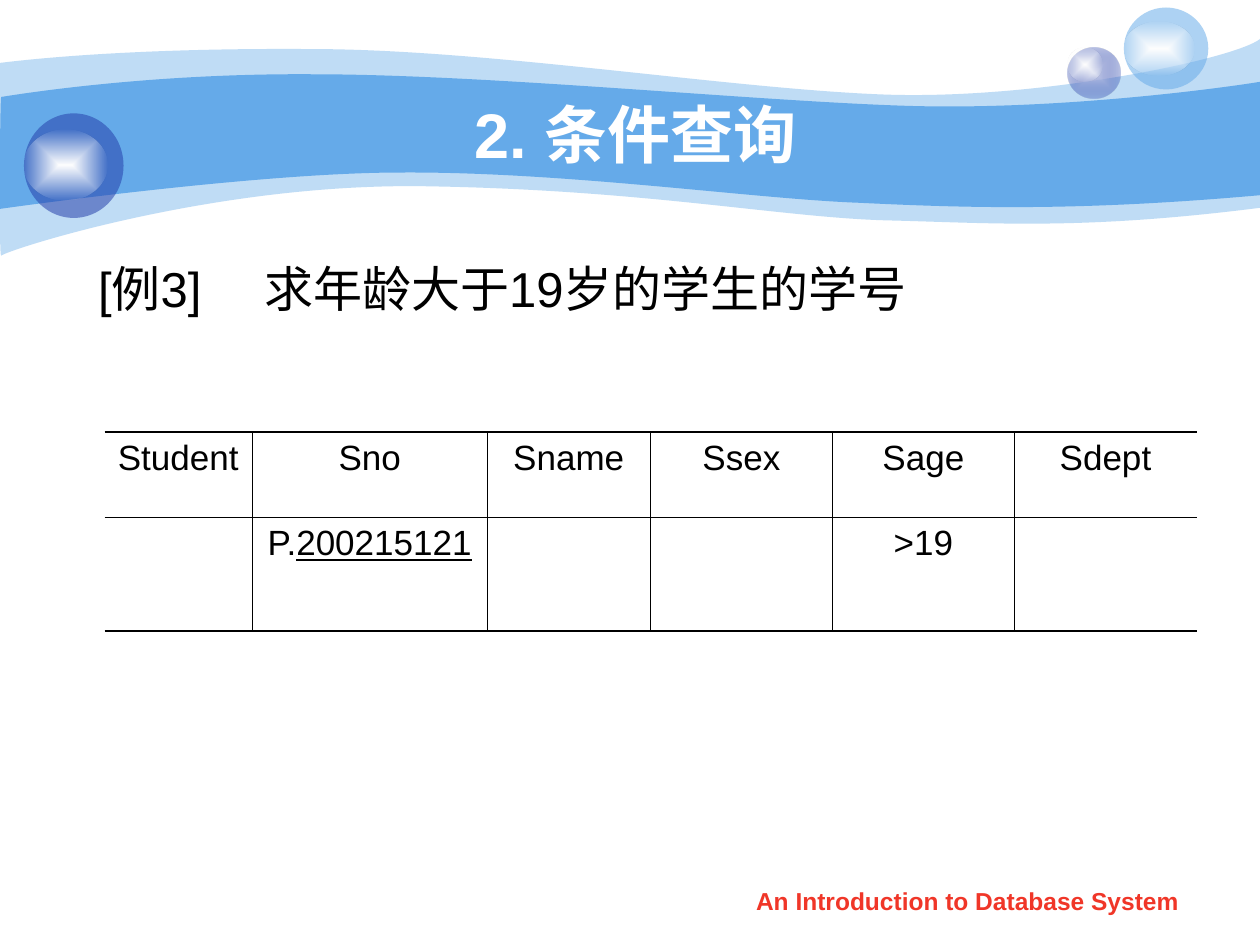
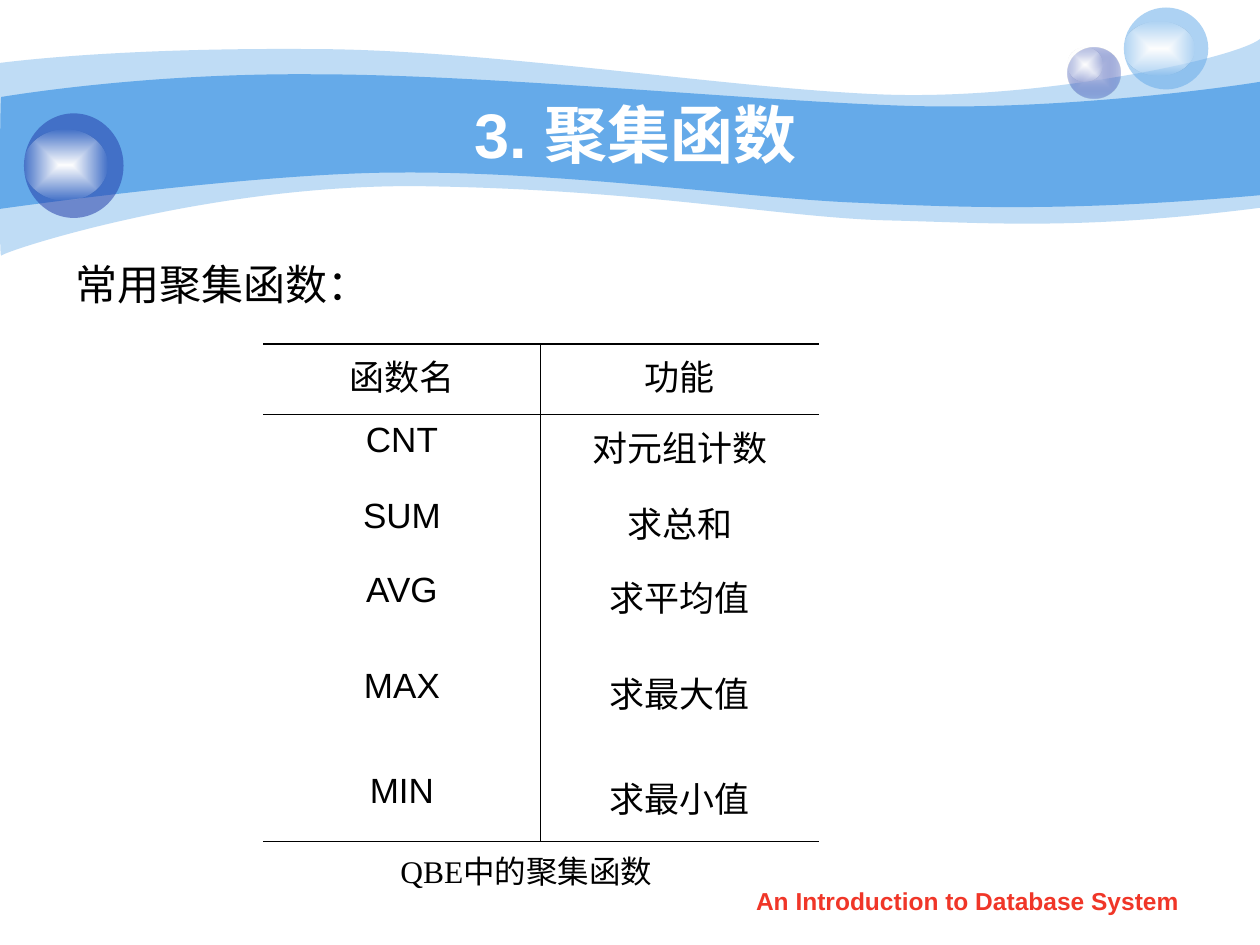
from lxml import etree
from pptx import Presentation
from pptx import util as u
from pptx.dml.color import RGBColor
from pptx.enum import shapes, text
from pptx.oxml import ns, parse_xml

PX = 9144  # EMU in one px, 100 px to the inch
COLORS = {
    "sky": "65AAE9", "navy": "233DA9", "lilac": "C7CEE9",
    "white": "FFFFFF", "black": "000000", "footer": "F03628",
}
FOOTER = "An Introduction to Database System"
CENTER = text.PP_ALIGN.CENTER
HEAVY, THIN = 1.08, 0.45  # table rules in points

# Band outlines: a start, then lines (one point) and Bezier curves (three)
PALE_BAND = [
    [(0, 50)],
    [(24, 47), (107, 38), (247, 39)], [(386, 39), (575, 70), (699, 75)],
    [(822, 80), (980, 47), (1000, 31)], [(1000, 165)],
    [(858, 183), (787, 177), (705, 175)], [(622, 173), (515, 151), (343, 148)],
    [(172, 144), (4, 199), (1, 203)], [(-1, 208), (0, 75), (0, 50)],
]
MAIN_BAND = [
    [(1, 77)],
    [(2, 77), (110, 58), (248, 59)], [(386, 59), (595, 80), (718, 84)],
    [(841, 88), (976, 69), (1000, 65)], [(1000, 155)],
    [(853, 168), (765, 165), (682, 161)], [(599, 158), (447, 136), (317, 137)],
    [(203, 137), (-2, 166), (-1, 166)], [(0, 166), (0, 77), (1, 77)],
]

# Each bubble: its box and stops, then the box of its glow
SHINE = [("white", 100), ("white", 0)]
BUBBLES = [
    ((847, 38, 42, 40), [("lilac", 100), ("navy", 31)], (847, 38, 28, 27)),
    ((892, 6, 67, 65), [("sky", 53)], (892, 17, 56, 43)),
    ((19, 90, 79, 83), [("navy", 53)], (19, 103, 66, 56)),
]


def px(*lengths):
    return [u.Emu(length * PX) for length in lengths]


def color_xml(name, opacity):
    alpha = f'<a:alpha val="{opacity * 1000}"/>' if opacity < 100 else ""
    return f'<a:srgbClr val="{COLORS[name]}">{alpha}</a:srgbClr>'


def paint(shape, stops):
    """Fill with one colour, or with a gradient from the centre out."""
    if len(stops) == 1:
        xml = f'<a:solidFill {ns.nsdecls("a")}>{color_xml(*stops[0])}</a:solidFill>'
    else:
        marks = "".join(f'<a:gs pos="{pos}">{color_xml(*stop)}</a:gs>'
                        for pos, stop in zip((0, 100000), stops))
        xml = (f'<a:gradFill {ns.nsdecls("a")} rotWithShape="1">'
               f'<a:gsLst>{marks}</a:gsLst><a:path path="rect">'
               '<a:fillToRect l="50000" t="50000" r="50000" b="50000"/>'
               '</a:path></a:gradFill>')
    shape.shadow.inherit = False
    shape.line.fill.background()
    shape.fill.background()
    props = shape._element.spPr
    props.replace(props.find(ns.qn("a:noFill")), parse_xml(xml))


def add_band(page, outline, opacity):
    start, *parts = outline
    builder = page.shapes.build_freeform(*px(*start[0]), scale=1.0)
    builder.add_line_segments(
        [px(*point) for part in parts for point in part], close=True)
    band = builder.convert_to_shape()

    # Join each run of three points into one Bezier curve
    lines = iter(list(band._element.iter(ns.qn("a:lnTo"))))
    for part in parts:
        first, *others = [next(lines) for _ in part]
        if others:
            first.tag = ns.qn("a:cubicBezTo")
            for line in others:
                first.append(line[0])
                line.getparent().remove(line)
    paint(band, [("sky", opacity)])


def add_bubble(page, body, stops, glow):
    group = page.shapes.add_group_shape()
    for place, fill in ((body, stops), (glow, SHINE)):
        oval = group.shapes.add_shape(shapes.MSO_SHAPE.OVAL, *px(*place))
        paint(oval, fill)


def style(para, size, color="black", bold=False, align=None, name="Arial"):
    para.alignment = align
    font = para.font
    font.name, font.size, font.bold = name, u.Pt(size), bold
    font.color.rgb = RGBColor.from_string(COLORS[color])


def add_text(page, place, words, size, anchor=text.MSO_ANCHOR.TOP,
             wrap=True, inset=10, tab=None, **look):
    frame = page.shapes.add_textbox(*px(*place)).text_frame
    frame.word_wrap = wrap
    frame.vertical_anchor = anchor
    frame.margin_left, = px(inset)
    para = frame.paragraphs[0]
    para.text = words
    if tab:
        stops = etree.SubElement(para._p.get_or_add_pPr(), ns.qn("a:tabLst"))
        etree.SubElement(stops, ns.qn("a:tab"), pos=str(tab * PX), algn="l")
    style(para, size, **look)


def set_border(cell, side, width):
    props = cell._tc.get_or_add_tcPr()
    line = etree.SubElement(props, ns.qn(f"a:ln{side}"))
    if width is None:
        etree.SubElement(line, ns.qn("a:noFill"))
        return
    line.set("w", str(u.Pt(width)))
    fill = etree.SubElement(line, ns.qn("a:solidFill"))
    etree.SubElement(fill, ns.qn("a:srgbClr"), val=COLORS["black"])


def add_ruled_table(page, corner, widths, heights, rows):
    """Heavy rules above and below, thin ones under the header and between columns."""
    place = px(*corner, sum(widths), sum(heights))
    table = page.shapes.add_table(len(rows), len(widths), *place).table
    table.first_row = table.horz_banding = False
    for column, width in zip(table.columns, px(*widths)):
        column.width = width
    for row, height in zip(table.rows, px(*heights)):
        row.height = height

    across = {0: HEAVY, 1: THIN, len(rows): HEAVY}
    down = {edge: THIN for edge in range(1, len(widths))}
    for r, row in enumerate(rows):
        for c, content in enumerate(row):
            cell = table.cell(r, c)
            set_border(cell, "L", down.get(c))
            set_border(cell, "R", down.get(c + 1))
            set_border(cell, "T", across.get(r))
            set_border(cell, "B", across.get(r + 1))
            cell.fill.background()
            if content:
                para = cell.text_frame.paragraphs[0]
                para.text = content
                style(para, 20, align=CENTER)
    return table


def add_page(deck, title):
    """A page with the wave, the bubbles, the footer and its title."""
    page = deck.slides.add_slide(deck.slide_layouts[6])
    add_band(page, PALE_BAND, 41)
    add_band(page, MAIN_BAND, 100)
    for bubble in BUBBLES:
        add_bubble(page, *bubble)
    add_text(page, (571, 698, 394, 35), FOOTER, 14,
             color="footer", bold=True, align=CENTER)
    add_text(page, (100, 75, 808, 62), title, 36, text.MSO_ANCHOR.MIDDLE,
             color="white", bold=True, align=CENTER)
    return page


def add_condition_page(deck):
    page = add_page(deck, "2. 条件查询")
    add_text(page, (50, 200, 867, 136), "[例3]\t求年龄大于19岁的学生的学号", 28,
             inset=28, tab=132)
    table = add_ruled_table(
        page, (83, 343), [117, 187, 129, 145, 144, 145], [68, 90],
        [["Student", "Sno", "Sname", "Ssex", "Sage", "Sdept"],
         ["", "P.", "", "", ">19", ""]])
    # The example value is underlined
    span = table.cell(1, 1).text_frame.paragraphs[0].add_run()
    span.text = "200215121"
    span.font.underline = True


def add_aggregate_page(deck):
    page = add_page(deck, "3. 聚集函数")
    add_text(page, (50, 200, 442, 492), "常用聚集函数：", 24)
    add_text(page, (308, 671, 231, 40), "QBE中的聚集函数", 18,
             text.MSO_ANCHOR.MIDDLE, wrap=False, name="Times New Roman")
    add_ruled_table(
        page, (209, 273), [220, 221], [56, 60, 59, 76, 84, 60],
        [["函数名", "功能"], ["CNT", "对元组计数"], ["SUM", "求总和"],
         ["AVG", "求平均值"], ["MAX", "求最大值"], ["MIN", "求最小值"]])


def main():
    deck = Presentation()
    deck.slide_width, deck.slide_height = px(1000, 750)
    add_condition_page(deck)
    add_aggregate_page(deck)
    deck.save("out.pptx")


if __name__ == "__main__":
    main()
